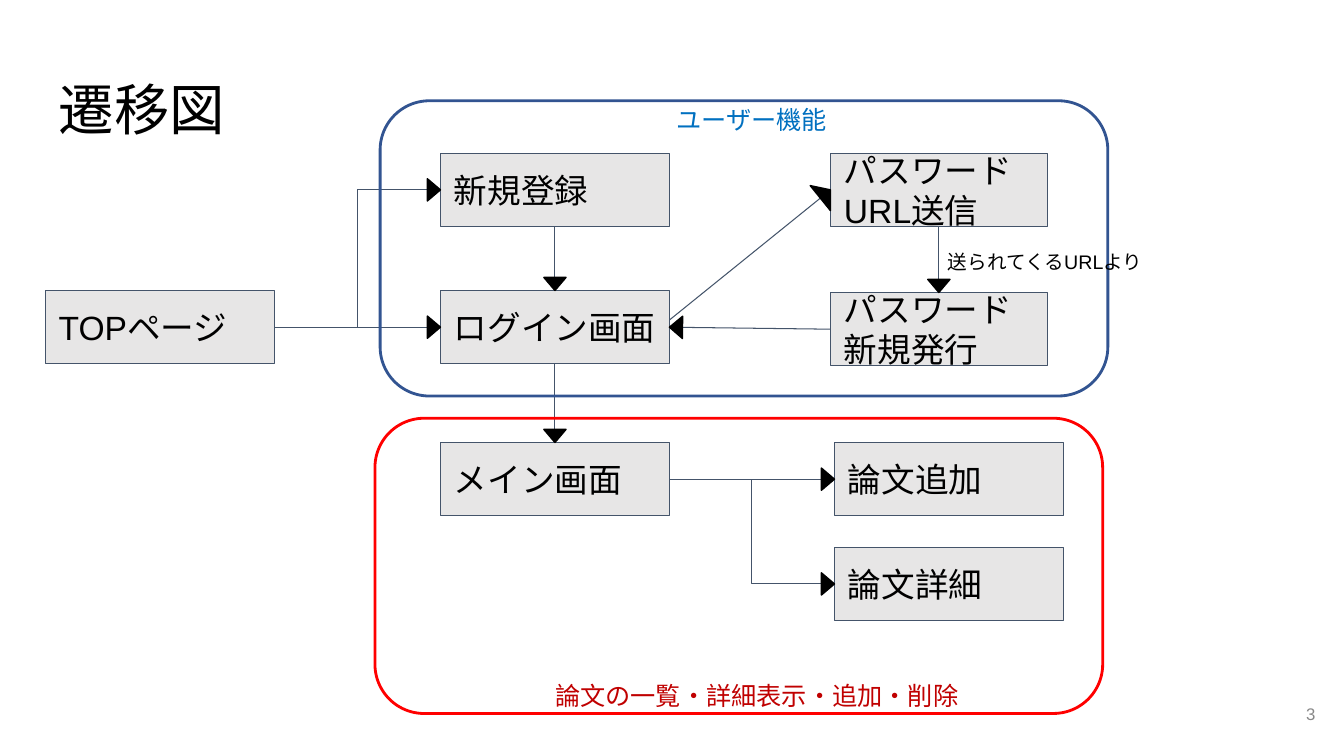
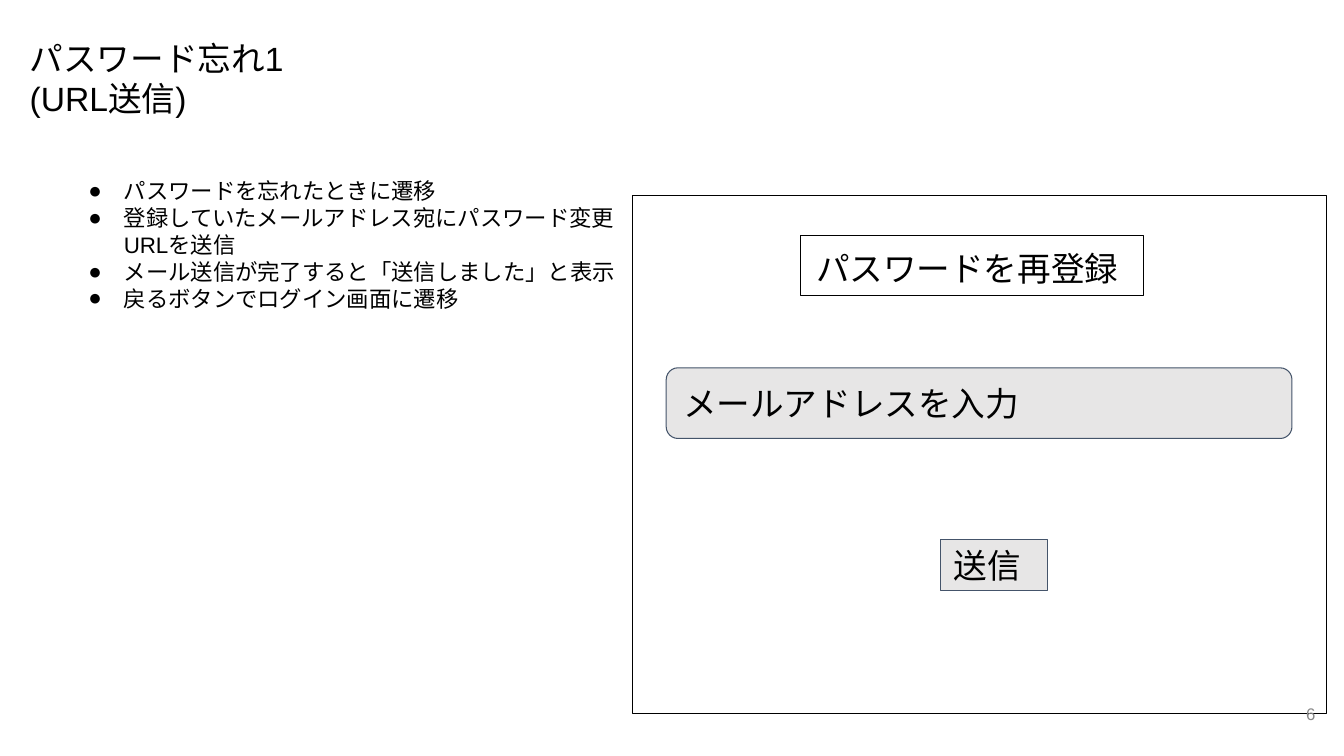
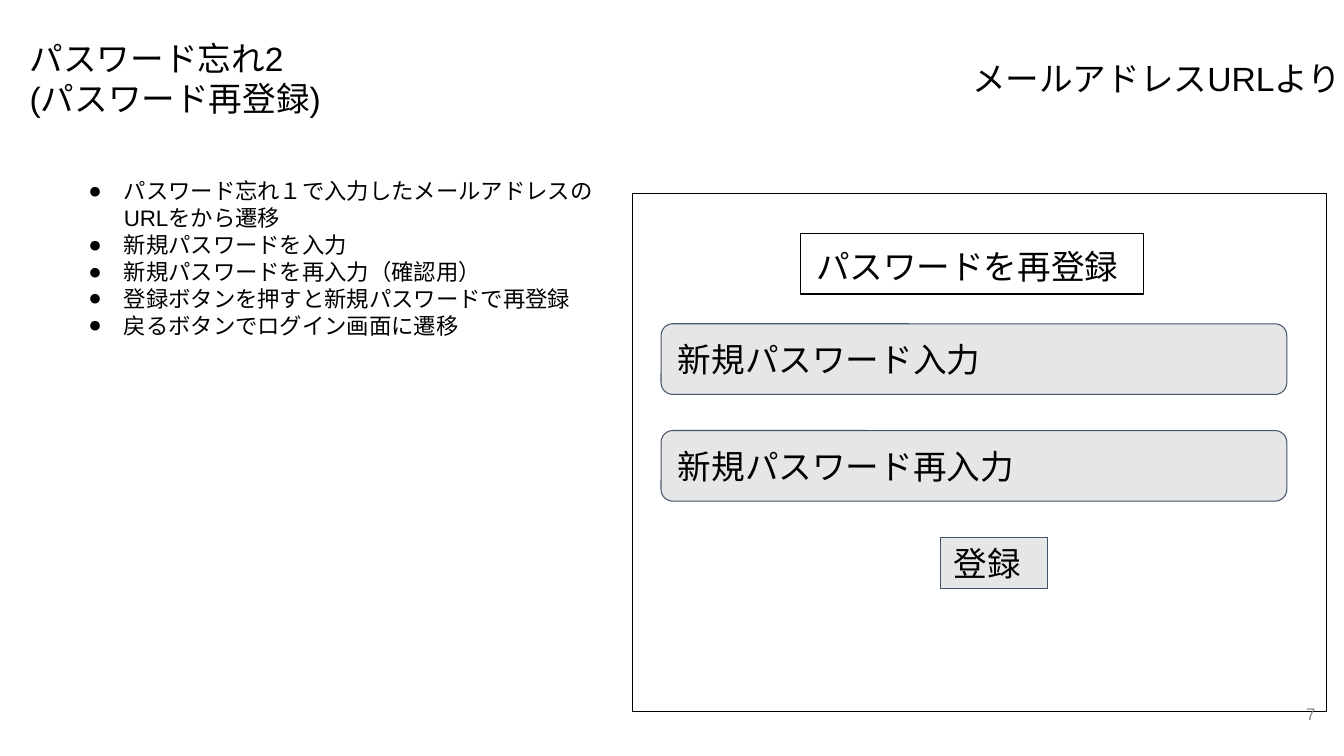
from dataclasses import dataclass
from math import atan2, cos, degrees, sin

from lxml.etree import SubElement
from pptx import Presentation
from pptx.dml.color import RGBColor
from pptx.enum.shapes import MSO_CONNECTOR as Connector, MSO_SHAPE as Shape
from pptx.enum.text import MSO_ANCHOR as Anchor, MSO_AUTO_SIZE as AutoSize, PP_ALIGN as Align
from pptx.oxml.ns import qn
from pptx.util import Cm, Pt


@dataclass(frozen=True)
class Theme:
    font: str = "Arial"
    ink: str = "000000"
    paper: str = "FFFFFF"
    box_fill: str = "E7E6E6"
    box_line: str = "44546A"
    number: str = "888888"
    user_frame: str = "325491"
    user_label: str = "0070C0"
    paper_frame: str = "FF0000"
    paper_label: str = "C00000"
    title_size: float = 39.6
    body_size: float = 24
    label_size: float = 18
    list_size: float = 16
    note_size: float = 14
    number_size: float = 12
    thin: float = 0.75
    head_line: float = 1
    thick: float = 2
    inset: float = 0.34
    small_inset: float = 0.25


def side(shape, name):
    """Middle of one side of a shape."""
    across = {"left": 0, "right": 2}.get(name, 1)
    down = {"top": 0, "bottom": 2}.get(name, 1)
    return shape.left + shape.width * across // 2, shape.top + shape.height * down // 2


class Deck:
    def __init__(self, theme):
        self.theme = theme
        self.presentation = Presentation()
        self.presentation.slide_width = Cm(33.87)
        self.presentation.slide_height = Cm(19.05)
        self.slide = None

    def new_slide(self):
        self.slide = self.presentation.slides.add_slide(self.presentation.slide_layouts[6])

    # Text
    def set_text(self, shape, text, size, color=None, align=Align.LEFT, anchor=Anchor.TOP,
                 inset=None):
        frame = shape.text_frame
        frame.text = text
        frame.word_wrap = True
        frame.vertical_anchor = anchor
        if inset is not None:
            frame.margin_left = frame.margin_right = Cm(inset)
            frame.margin_top = frame.margin_bottom = Cm(inset)
        for paragraph in frame.paragraphs:
            paragraph.alignment = align
            for run in paragraph.runs:
                run.font.name = self.theme.font
                run.font.size = Pt(size)
                run.font.color.rgb = RGBColor.from_string(color or self.theme.ink)
                SubElement(run.font._element, qn("a:ea"), typeface=self.theme.font)

    def text(self, left, top, width, height, text, size, grow=True, **style):
        shape = self.slide.shapes.add_textbox(Cm(left), Cm(top), Cm(width), Cm(height))
        self.set_text(shape, text, size, **style)
        if grow:
            shape.text_frame.auto_size = AutoSize.SHAPE_TO_FIT_TEXT
        return shape

    def title(self, text):
        shape = self.text(1.14, 1.73, 31.55, 2.11, text, self.theme.title_size,
                          grow=False, inset=self.theme.inset)
        shape.text_frame.paragraphs[0].line_spacing = 0.9

    def body_text(self, left, top, width, height, text, **style):
        self.text(left, top, width, height, text, self.theme.body_size,
                  inset=self.theme.inset, **style)

    def bullets(self, width, lines):
        shape = self.text(1.6, 4.22, width, 3.94, "\n".join(lines), self.theme.list_size,
                          inset=self.theme.small_inset)
        for paragraph in shape.text_frame.paragraphs:
            properties = paragraph._p.get_or_add_pPr()
            properties.set("marL", str(Cm(1.27)))
            properties.set("indent", str(Cm(-0.89)))
            color = SubElement(properties, qn("a:buClr"))
            SubElement(color, qn("a:srgbClr"), val=self.theme.ink)
            SubElement(properties, qn("a:buFont"), typeface=self.theme.font)
            SubElement(properties, qn("a:buChar"), char="●")

    def page_number(self, number):
        self.text(31.37, 17.27, 2.03, 1.45, str(number), self.theme.number_size, grow=False,
                  color=self.theme.number, align=Align.RIGHT, anchor=Anchor.MIDDLE,
                  inset=self.theme.small_inset)

    # Shapes
    def shape(self, kind, left, top, width, height, fill=None, line=None, weight=None):
        shape = self.slide.shapes.add_shape(kind, Cm(left), Cm(top), Cm(width), Cm(height))
        shape.shadow.inherit = False
        if fill:
            shape.fill.solid()
            shape.fill.fore_color.rgb = RGBColor.from_string(fill)
        else:
            shape.fill.background()
        shape.line.color.rgb = RGBColor.from_string(line or self.theme.ink)
        shape.line.width = Pt(weight or self.theme.thin)
        return shape

    def box(self, left, top, width, height, text, kind=Shape.RECTANGLE):
        shape = self.shape(kind, left, top, width, height, self.theme.box_fill, self.theme.box_line)
        self.set_text(shape, text, self.theme.body_size, anchor=Anchor.MIDDLE,
                      inset=self.theme.inset)
        return shape

    def frame(self, left, top, color):
        self.shape(Shape.ROUNDED_RECTANGLE, left, top, 18.34, 7.44, line=color,
                   weight=self.theme.thick)

    # Line with a triangle whose tip touches the end point
    def arrow(self, start, end, bent=False, head_width=0.56):
        kind = Connector.ELBOW if bent else Connector.STRAIGHT
        line = self.slide.shapes.add_connector(kind, *start, *end)
        line.line.color.rgb = RGBColor.from_string(self.theme.box_line)
        line.line.width = Pt(self.theme.thin)
        SubElement(line._element.spPr, qn("a:effectLst"))

        rise = 0 if bent else start[1] - end[1]
        angle = atan2(end[0] - start[0], rise)
        head_height = 0.33
        center_x = end[0] / Cm(1) - head_height / 2 * sin(angle)
        center_y = end[1] / Cm(1) + head_height / 2 * cos(angle)
        head = self.shape(Shape.ISOSCELES_TRIANGLE, center_x - head_width / 2,
                          center_y - head_height / 2, head_width, head_height,
                          self.theme.ink, weight=self.theme.head_line)
        head.rotation = degrees(angle) % 360

    # Form mock-up: panel, heading, input fields and one button
    def form(self, top, field_left, fields, button):
        self.shape(Shape.RECTANGLE, 15.95, top, 17.48, 13.06, self.theme.paper)
        self.body_text(17.02, top + 0.97, 14.71, 1.7, "パスワードを再登録", align=Align.CENTER)
        for offset, label in fields:
            self.box(field_left, top + offset, 15.77, 1.78, label, Shape.ROUNDED_RECTANGLE)
        self.box(23.7, top + 8.66, 2.69, 1.3, button)
        self.shape(Shape.RECTANGLE, 20.17, top + 1.01, 8.66, 1.52)

    def password_slide(self, number, heading, form, list_width, lines):
        self.new_slide()
        self.body_text(0.41, 0.61, 9.07, 2.74, heading)
        self.form(*form)
        self.bullets(list_width, lines)
        self.page_number(number)


theme = Theme()
deck = Deck(theme)

# Slide 3: screen transitions
deck.new_slide()
deck.title("遷移図")
wide, narrow, tall = 5.77, 5.46, 1.85
middle, mail_column, paper_column = 11.1, 20.93, 21.03
row_1, row_2, row_3, row_4 = 3.86, 7.32, 11.15, 13.79

top_page = deck.box(1.14, row_2, wide, tall, "TOPページ")
register = deck.box(middle, row_1, wide, tall, "新規登録")
login = deck.box(middle, row_2, wide, tall, "ログイン画面")
main = deck.box(middle, row_3, wide, tall, "メイン画面")
send_url = deck.box(mail_column, row_1, narrow, tall, "パスワードURL送信")
reissue = deck.box(mail_column, row_2 + 0.05, narrow, tall, "パスワード\n新規発行")
add_paper = deck.box(paper_column, row_3, wide, tall, "論文追加")
paper_detail = deck.box(paper_column, row_4, wide, tall, "論文詳細")

for source, leaving, target, entering, bent in (
    (top_page, "right", login, "left", False),
    (top_page, "right", register, "left", True),
    (register, "bottom", login, "top", False),
    (login, "bottom", main, "top", False),
    (main, "right", add_paper, "left", False),
    (main, "right", paper_detail, "left", True),
    (send_url, "bottom", reissue, "top", False),
    (reissue, "left", login, "right", False),
):
    deck.arrow(side(source, leaving), side(target, entering), bent)
login_x, login_y = side(login, "right")
deck.arrow((login_x, login_y - Cm(0.18)), side(send_url, "left"), head_width=0.81)

deck.page_number(3)
deck.frame(9.58, 2.54, theme.user_frame)
deck.text(16.79, 2.51, 6.65, 1.02, "ユーザー機能", theme.label_size, color=theme.user_label)
deck.frame(9.45, 10.54, theme.paper_frame)
deck.text(13.74, 17.02, 11.91, 1.02, "論文の一覧・詳細表示・追加・削除", theme.label_size,
          color=theme.paper_label)
deck.text(23.55, 5.99, 6.5, 1.27, "送られてくるURLより", theme.note_size, inset=theme.inset)

# Slide 6: send the reset address
deck.password_slide(
    6, "パスワード忘れ1\n(URL送信)",
    (4.93, 16.79, [(4.34, "メールアドレスを入力")], "送信"),
    14.35,
    ["パスワードを忘れたときに遷移",
     "登録していたメールアドレス宛にパスワード変更URLを送信",
     "メール送信が完了すると「送信しました」と表示",
     "戻るボタンでログイン画面に遷移"])

# Slide 7: enter the new password
deck.password_slide(
    7, "パスワード忘れ2\n(パスワード再登録)",
    (4.88, 16.66, [(3.28, "新規パスワード入力"), (5.97, "新規パスワード再入力")], "登録"),
    13.97,
    ["パスワード忘れ１で入力したメールアドレスのURLをから遷移",
     "新規パスワードを入力",
     "新規パスワードを再入力（確認用）",
     "登録ボタンを押すと新規パスワードで再登録",
     "戻るボタンでログイン画面に遷移"])
deck.body_text(24.16, 1.12, 10.06, 1.7, "メールアドレスURLより")

deck.presentation.save("out.pptx")
